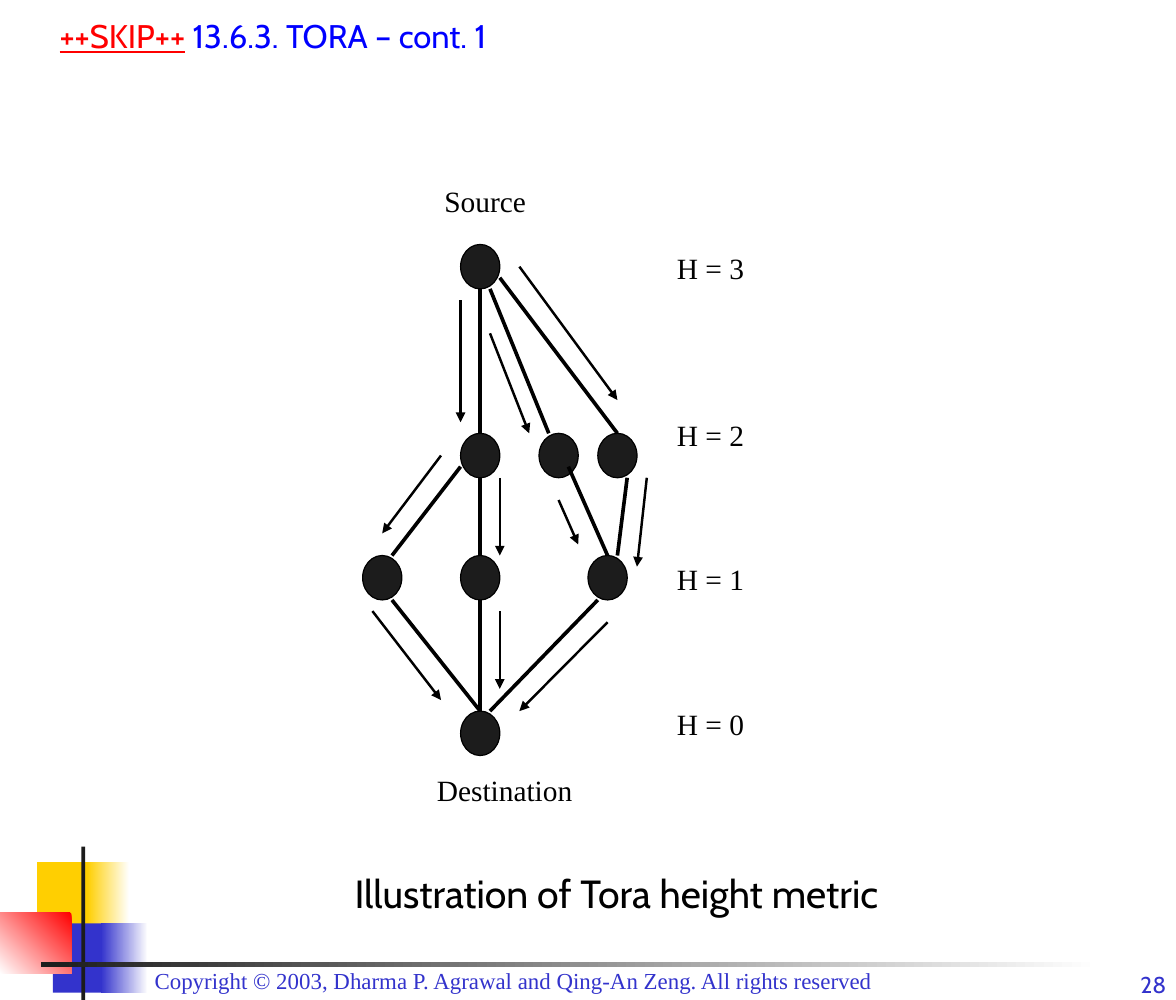
from pptx import Presentation
from pptx.dml.color import RGBColor as Rgb
from pptx.enum.shapes import MSO_CONNECTOR as Connector, MSO_SHAPE as Shape
from pptx.enum.text import MSO_ANCHOR as Anchor, PP_ALIGN as Align
from pptx.oxml.ns import qn
from pptx.util import Inches, Pt
from lxml import etree

COLORS = {"black": "000000", "ink": "1C1C1C", "white": "FFFFFF", "gold": "FFCF01",
          "navy": "3333CC", "red": "FF0000", "blue": "0000FF"}
SERIF, SANS = "Times New Roman", "Cabin"

deck = Presentation()
deck.slide_width, deck.slide_height = Inches(10), Inches(8.5)
page = deck.slides.add_slide(deck.slide_layouts[6])

# Grid: 120 columns by 90 rows
COL, ROW = deck.slide_width / 120, deck.slide_height / 90


def cells(*values):
    """Turn alternating columns and rows into lengths."""
    return [round(value * (ROW if i % 2 else COL)) for i, value in enumerate(values)]


def add_text(place, spans, size, font, align=Align.LEFT, anchor=Anchor.TOP, inset=0.05):
    box = page.shapes.add_textbox(*cells(*place))
    frame = box.text_frame
    frame.word_wrap = True
    frame.vertical_anchor = anchor
    frame.margin_top = frame.margin_bottom = Inches(inset)
    para = frame.paragraphs[0]
    para.alignment = align
    for text, color, underline in spans:
        span = para.add_run()
        span.text = text
        span.font.size, span.font.name = Pt(size), font
        span.font.color.rgb = Rgb.from_string(COLORS[color])
        span.font.underline = underline


# Corner ornament: place, colours from start to end, gradient angle
ornament = [
    ((3.8, 77.6, 5.8, 6.25), ["gold"], 0),
    ((8.9, 77.6, 4.3, 6.25), ["white", "gold"], 180),
    ((5.4, 83.1, 5.5, 6.25), ["navy"], 0),
    ((10.3, 83.1, 4.8, 6.25), ["white", "navy"], 180),
    ((0, 82.15, 7.3, 5.5), ["red", "white"], 225),
    ((8.3, 76.2, 0.4, 13.8), ["ink"], 0),
    ((4.2, 86.6, 108, 0.4), ["white", "ink"], 180),
]
for place, colors, angle in ornament:
    block = page.shapes.add_shape(Shape.RECTANGLE, *cells(*place))
    block.shadow.inherit = False
    block.line.fill.background()
    if len(colors) == 1:
        block.fill.solid()
        block.fill.fore_color.rgb = Rgb.from_string(COLORS[colors[0]])
    else:
        block.fill.gradient()
        block.fill.gradient_angle = angle
        for stop, color in zip(block.fill.gradient_stops, colors):
            stop.color.rgb = Rgb.from_string(COLORS[color])

# Footer and page number
add_text((14.6, 86.5, 91, 3.6),
         [("Copyright © 2003, Dharma P. Agrawal and Qing-An Zeng. All rights reserved", "navy", False)],
         14, SERIF)
add_text((110.6, 87.4, 9.6, 2.9), [("28", "navy", False)], 14, SANS, Align.RIGHT, inset=0)

# Nodes: row of each height level and the columns of its nodes
levels = {22: [47], 39: [47, 55, 61], 50: [37, 47, 60], 64: [47]}
for row, columns in levels.items():
    for column in columns:
        node = page.shapes.add_shape(Shape.OVAL, *cells(column, row, 4, 4))
        node.shadow.inherit = False
        node.fill.solid()
        node.fill.fore_color.rgb = Rgb.from_string(COLORS["ink"])
        node.line.color.rgb = Rgb.from_string(COLORS["black"])
        node.line.width = Pt(0.75)

# Links between nodes, and the flow arrows beside them
links = [
    (49, 26, 49, 39), (49, 43, 49, 50), (49, 54, 49, 64), (50, 26, 56, 39),
    (51, 25, 63, 39), (47, 42, 40, 50), (40, 54, 49, 64), (64, 43, 63, 50),
    (58, 42, 62, 50), (61, 54, 50, 64),
]
arrows = [
    (47, 27, 47, 38), (51, 43, 51, 50), (38, 55, 45, 63), (53, 24, 63, 36),
    (57, 45, 59, 49), (66, 43, 65, 51), (62, 56, 53, 64), (45, 41, 39, 48),
    (51, 55, 51, 62), (50, 30, 54, 39),
]
for ends, width, pointed in [(e, 2.25, False) for e in links] + [(e, 1.5, True) for e in arrows]:
    edge = page.shapes.add_connector(Connector.STRAIGHT, *cells(*ends))
    edge.line.color.rgb = Rgb.from_string(COLORS["black"])
    edge.line.width = Pt(width)
    if pointed:
        etree.SubElement(edge.line._get_or_add_ln(), qn("a:tailEnd"), type="triangle")
    etree.SubElement(edge._element.spPr, qn("a:effectLst"))

# End labels and height labels
labels = [("Source", 43, 16, 13), ("Destination", 43, 69, 17)]
labels += [(f"H = {height}", 66, row, 13) for height, row in enumerate([63, 50, 37, 22])]
for text, column, row, width in labels:
    add_text((column, row, width, 4.25), [(text, "black", False)], 18, SERIF, Align.CENTER)

# Caption and heading
add_text((13.9, 76, 98, 7), [("Illustration of Tora height metric", "black", False)],
         24, SANS, Align.CENTER, Anchor.BOTTOM)
add_text((4.9, 0, 112.4, 5.5),
         [("++SKIP++", "red", True), (" ", "black", False), ("13.6.3. TORA – cont. 1", "blue", False)],
         20, SANS, anchor=Anchor.BOTTOM)

deck.save("out.pptx")
